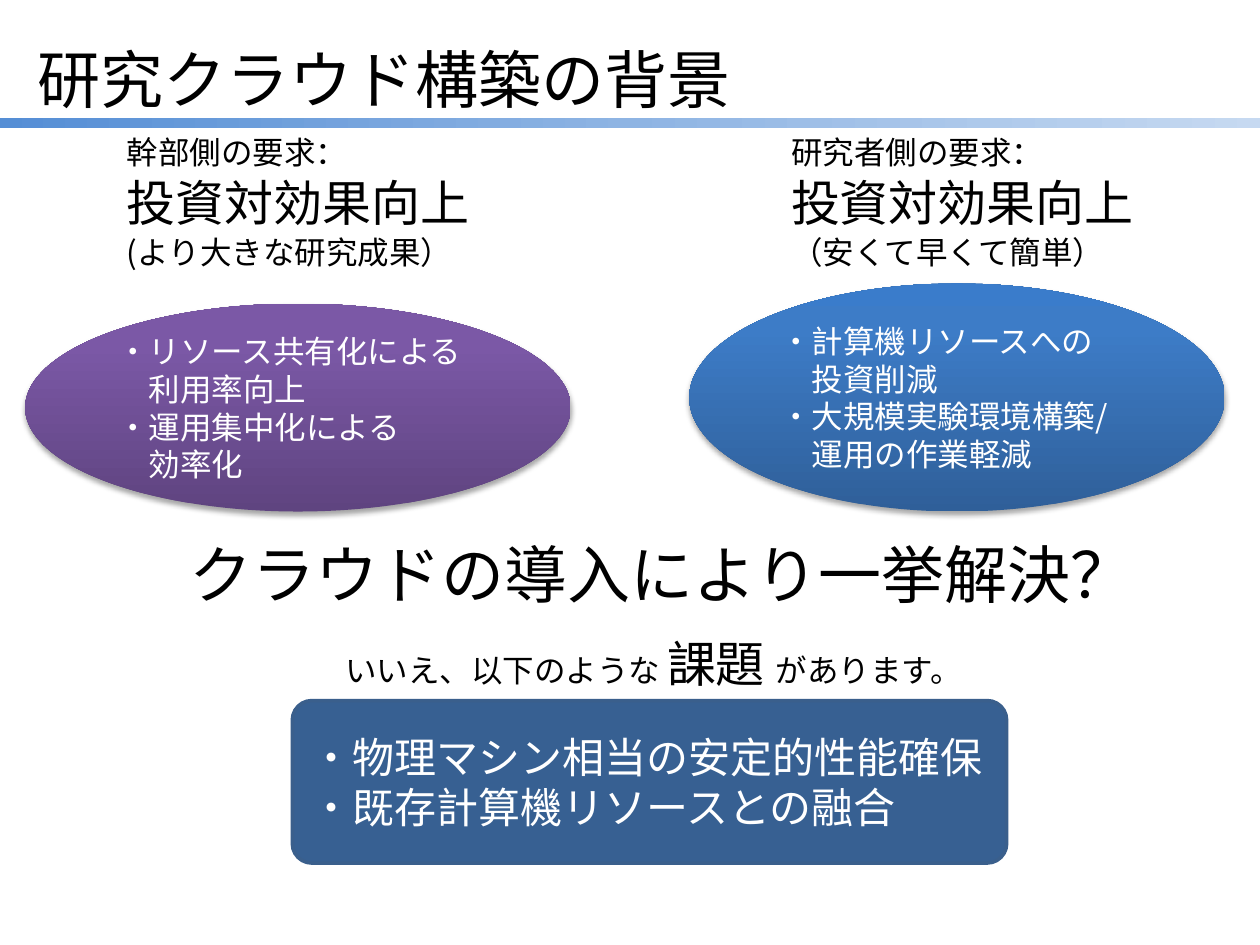
from typing import NamedTuple

from lxml.etree import SubElement
from pptx import Presentation
from pptx.dml.color import RGBColor
from pptx.enum.shapes import MSO_SHAPE as Preset
from pptx.enum.text import MSO_ANCHOR as Anchor, PP_ALIGN as Align
from pptx.oxml.ns import qn
from pptx.util import Inches, Pt

FONT = "Noto Sans CJK JP"
COLORS = {"text": "000000", "light": "FFFFFF", "panel": "376092", "edge": "3A5F8C"}
GRADIENTS = {
    "bar": [(0, "558ED5"), (50, "8EB4E3"), (100, "C6D9F1")],
    "purple": [(0, "5F4480"), (80, "7B58A6"), (100, "7C57A8")],
    "blue": [(0, "2F5F99"), (80, "3D7CC7"), (100, "3A7CCB")],
}
SLIDE_WIDTH, SLIDE_HEIGHT = Inches(10), Inches(7.5)


class Box(NamedTuple):
    """Place and size in percent of the slide."""
    left: float
    top: float
    width: float
    height: float

    def lengths(self) -> dict:
        """Return the box as shape attributes."""
        return {
            "left": round(SLIDE_WIDTH * self.left / 100),
            "top": round(SLIDE_HEIGHT * self.top / 100),
            "width": round(SLIDE_WIDTH * self.width / 100),
            "height": round(SLIDE_HEIGHT * self.height / 100),
        }


class Run(NamedTuple):
    """A stretch of text in one size."""
    text: str
    size: int


class Line(NamedTuple):
    """A paragraph, set in by a number of characters."""
    runs: list[Run]
    indent: int = 0


class Demand(NamedTuple):
    """One side's demand with its aims in an ellipse."""
    caption_box: Box
    caption: list[Line]
    ellipse_box: Box
    gradient: str
    aims: list[Line]


def line(text: str, size: int = 18, indent: int = 0) -> Line:
    """Make a paragraph of a single run."""
    return Line([Run(text, size)], indent)


def assign(target, values: dict) -> None:
    """Set attributes from format values."""
    for key, value in values.items():
        setattr(target, key, value)


def write(shape, lines: list[Line], color: str, spacing: float,
          align=Align.LEFT, anchor=Anchor.TOP) -> None:
    """Fill a shape with formatted paragraphs."""
    frame = shape.text_frame
    assign(frame, {"word_wrap": True, "vertical_anchor": anchor})
    for index, entry in enumerate(lines):
        paragraph = frame.add_paragraph() if index else frame.paragraphs[0]
        size = max(run.size for run in entry.runs)
        assign(paragraph, {"alignment": align, "line_spacing": Pt(round(size * spacing, 1)),
                           "space_before": Pt(0)})
        if entry.indent:
            paragraph._p.get_or_add_pPr().set("marL", str(Pt(size * entry.indent)))
        for part in entry.runs:
            run = paragraph.add_run()
            run.text = part.text
            assign(run.font, {"size": Pt(part.size), "name": FONT})
            run.font.color.rgb = RGBColor.from_string(COLORS[color])
            SubElement(run._r.get_or_add_rPr(), qn("a:ea"), typeface=FONT)


def add_preset(slide, preset, box: Box):
    """Add a preset shape without line and shadow."""
    shape = slide.shapes.add_shape(preset, *box.lengths().values())
    shape.shadow.inherit = False
    shape.line.fill.background()
    return shape


def fill_gradient(shape, name: str, angle: int) -> None:
    """Give a shape a linear gradient of any number of stops."""
    shape.fill.gradient()
    shape.fill.gradient_angle = angle
    stops = shape._element.spPr.find(".//" + qn("a:gsLst"))
    for stop in list(stops):
        stops.remove(stop)
    for position, color in GRADIENTS[name]:
        stop = SubElement(stops, qn("a:gs"), pos=str(position * 1000))
        SubElement(stop, qn("a:srgbClr"), val=color)


def cast_shadow(shape) -> None:
    """Add a soft shadow below a shape."""
    effects = shape._element.spPr.find(qn("a:effectLst"))
    shadow = SubElement(effects, qn("a:outerShdw"), blurRad=str(Pt(3.1)),
                        dist=str(Pt(1.8)), dir="5400000", rotWithShape="0")
    color = SubElement(shadow, qn("a:srgbClr"), val="000000")
    SubElement(color, qn("a:alpha"), val="35000")


def add_text(slide, box: Box, lines: list[Line], spacing: float, align=Align.LEFT) -> None:
    """Add a text box."""
    textbox = slide.shapes.add_textbox(*box.lengths().values())
    write(textbox, lines, "text", spacing, align)


def add_demand(slide, demand: Demand) -> None:
    """Draw a demand's ellipse and caption."""
    ellipse = add_preset(slide, Preset.OVAL, demand.ellipse_box)
    fill_gradient(ellipse, demand.gradient, 90)
    cast_shadow(ellipse)
    write(ellipse, demand.aims, "light", 1.2, anchor=Anchor.MIDDLE)
    add_text(slide, demand.caption_box, demand.caption, 1.25)


DEMANDS = [
    Demand(
        Box(9.1, 13.2, 30.3, 15.73),
        [line("幹部側の要求："), line("投資対効果向上", 28), line("(より大きな研究成果）")],
        Box(2, 32.13, 43.3, 22), "purple",
        [line("・リソース共有化による"), line("利用率向上", indent=1),
         line("・運用集中化による"), line("効率化", indent=1)],
    ),
    Demand(
        Box(61.8, 13.2, 32.3, 15.73),
        [line("研究者側の要求："), line("投資対効果向上", 28), line("（安くて早くて簡単）")],
        Box(54.7, 30, 42.5, 24.13), "blue",
        [line("・計算機リソースへの"), line("投資削減", indent=1),
         line("・大規模実験環境構築/"), line("運用の作業軽減", indent=1)],
    ),
]


def main() -> None:
    """Build the slide and save it."""
    deck = Presentation()
    assign(deck, {"slide_width": SLIDE_WIDTH, "slide_height": SLIDE_HEIGHT})
    slide = deck.slides.add_slide(deck.slide_layouts[5])

    bar = add_preset(slide, Preset.RECTANGLE, Box(0, 12.53, 100, 1.07))
    fill_gradient(bar, "bar", 0)

    title = slide.shapes.title
    assign(title, Box(2, 2.8, 63.8, 10.13).lengths())
    write(title, [line("研究クラウド構築の背景", 36)], "text", 1.32)

    for demand in DEMANDS:
        add_demand(slide, demand)

    issues = add_preset(slide, Preset.ROUNDED_RECTANGLE, Box(23.2, 74.13, 56.7, 17.2))
    issues.adjustments[0] = 0.12
    issues.fill.solid()
    issues.fill.fore_color.rgb = RGBColor.from_string(COLORS["panel"])
    issues.line.color.rgb = RGBColor.from_string(COLORS["edge"])
    issues.line.width = Pt(2)
    write(issues, [line("・物理マシン相当の安定的性能確保", 24),
                   line("・既存計算機リソースとの融合", 24)],
          "light", 1.2, anchor=Anchor.MIDDLE)

    add_text(slide, Box(7.5, 55.2, 90, 10.13),
             [line("クラウドの導入により一挙解決？", 36)], 1.32, Align.CENTER)
    answer = Line([Run("いいえ、以下のような ", 18), Run("課題 ", 28), Run("があります。", 18)])
    add_text(slide, Box(26.4, 65.73, 56.7, 7.6), [answer], 1.32)

    deck.save("out.pptx")


if __name__ == "__main__":
    main()
